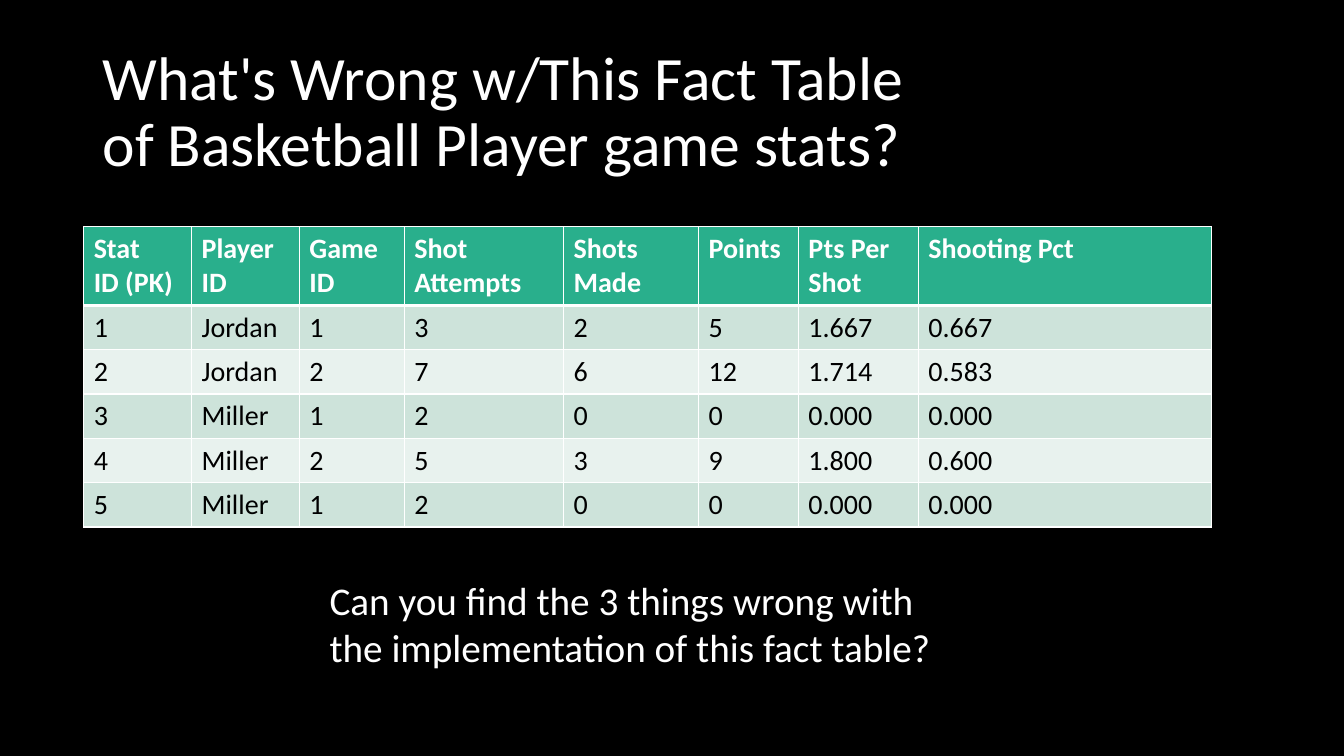
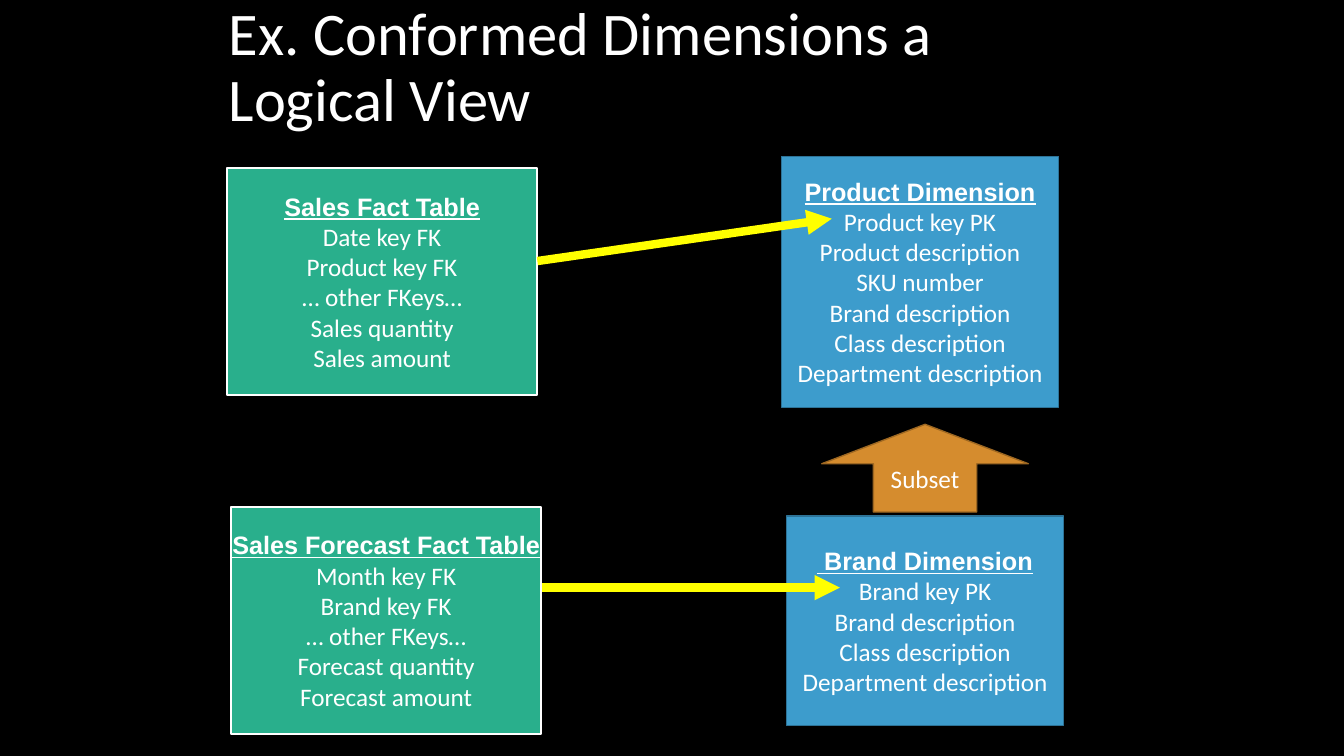
from dataclasses import dataclass
from typing import NamedTuple

from lxml.etree import SubElement as Sub
from pptx import Presentation
from pptx.dml.color import RGBColor as RGB
from pptx.enum.shapes import MSO_CONNECTOR as Link, MSO_SHAPE as Form
from pptx.enum.text import MSO_ANCHOR as Anchor, PP_ALIGN as Align
from pptx.oxml.ns import qn
from pptx.util import Inches, Pt


@dataclass(frozen=True)
class Theme:
    back: str = "000000"
    white: str = "FFFFFF"
    black: str = "000000"
    green: str = "29AF8C"
    blue: str = "3D9CCC"
    navy: str = "2D7397"
    gold: str = "D58C2E"
    brown: str = "9E6822"
    yellow: str = "FFFF00"
    bands: tuple[str, str] = ("CDE3DA", "E8F2EE")
    font: str = "Calibri"
    bold_font: str = "Arial"
    title: float = 44
    small_title: float = 43.2
    ask: float = 28
    cell: float = 20
    body: float = 18


THEME = Theme()


class Area(NamedTuple):
    left: float
    top: float
    width: float
    height: float

    def place(self) -> list[Inches]:
        return [Inches(side) for side in self]


class Look(NamedTuple):
    fill: str
    line: str
    width: float


class Box(NamedTuple):
    area: Area
    look: Look
    head: str
    fields: list[str]


class Arrow(NamedTuple):
    start: tuple[float, float]
    end: tuple[float, float]


FACT = Look(THEME.green, THEME.white, 1.5)
DIM = Look(THEME.blue, THEME.navy, 1)
SUBSET = Look(THEME.gold, THEME.brown, 1)

PLAIN = {"name": THEME.font, "size": Pt(THEME.body), "bold": False}
HEAD = PLAIN | {"name": THEME.bold_font, "bold": True, "underline": True}

WIDTHS = [1.07, 1.07, 1.04, 1.58, 1.34, 0.99, 1.19, 2.91]
HEAD_ROW, BODY_ROW = 0.78, 0.44
STATS = [
    ["Stat\nID (PK)", "Player ID", "Game ID", "Shot Attempts",
     "Shots Made", "Points", "Pts Per Shot", "Shooting Pct"],
    ["1", "Jordan", "1", "3", "2", "5", "1.667", "0.667"],
    ["2", "Jordan", "2", "7", "6", "12", "1.714", "0.583"],
    ["3", "Miller", "1", "2", "0", "0", "0.000", "0.000"],
    ["4", "Miller", "2", "5", "3", "9", "1.800", "0.600"],
    ["5", "Miller", "1", "2", "0", "0", "0.000", "0.000"],
]

BOXES = [
    Box(Area(2.25, 1.67, 3.08, 2.25), FACT, "Sales Fact Table",
        ["Date key FK", "Product key FK", "… other FKeys…",
         "Sales quantity", "Sales amount"]),
    Box(Area(7.75, 1.55, 2.75, 2.49), DIM, "Product Dimension",
        ["Product key PK", "Product description", "SKU number",
         "Brand description", "Class description",
         "Department description"]),
    Box(Area(2.29, 5.03, 3.08, 2.25), FACT, "Sales Forecast Fact Table",
        ["Month key FK", "Brand key FK", "… other FKeys…",
         "Forecast quantity", "Forecast amount"]),
    Box(Area(7.8, 5.12, 2.75, 2.08), DIM, " Brand Dimension",
        ["Brand key PK", "Brand description", "Class description",
         "Department description"]),
]

ARROWS = [
    Arrow((5.33, 2.59), (8.25, 2.17)),
    Arrow((5.38, 5.83), (8.33, 5.83)),
]


def write(para, text: str, style: dict, tint: str = THEME.white) -> None:
    """Fill a paragraph; a newline becomes a line break."""
    para.text = text
    for run in para.runs:
        for key, value in style.items():
            setattr(run.font, key, value)
        run.font.color.rgb = RGB.from_string(tint)


def add_slide(deck):
    slide = deck.slides.add_slide(deck.slide_layouts[6])
    fill = slide.background.fill
    fill.solid()
    fill.fore_color.rgb = RGB.from_string(THEME.back)
    return slide


def add_text(slide, area: Area, text: str, size: float):
    frame = slide.shapes.add_textbox(*area.place()).text_frame
    frame.word_wrap = True
    write(frame.paragraphs[0], text, PLAIN | {"size": Pt(size)})
    return frame


def add_title(slide, area: Area, text: str, size: float) -> None:
    frame = add_text(slide, area, text, size)
    frame.vertical_anchor = Anchor.MIDDLE
    frame.paragraphs[0].line_spacing = 0.9


def add_edge(cell, side: str, width: float) -> None:
    props = cell._tc.get_or_add_tcPr()
    line = Sub(props, qn(f"a:ln{side}"), w=str(Pt(width)))
    Sub(Sub(line, qn("a:solidFill")), qn("a:srgbClr"), val=THEME.white)


def add_stats(slide, left: float, top: float) -> None:
    heights = [HEAD_ROW] + [BODY_ROW] * (len(STATS) - 1)
    area = Area(left, top, sum(WIDTHS), sum(heights))
    table = slide.shapes.add_table(
        len(STATS), len(WIDTHS), *area.place()).table
    for column, width in zip(table.columns, WIDTHS):
        column.width = Inches(width)
    for index, (row, height, texts) in enumerate(
            zip(table.rows, heights, STATS)):
        row.height = Inches(height)
        first = index == 0
        fill = THEME.green if first else THEME.bands[(index - 1) % 2]
        edges = {"L": 1, "R": 1, "T": 3 if index == 1 else 1,
                 "B": 3 if first else 1}
        style = PLAIN | {"size": Pt(THEME.cell), "bold": first}
        for cell, text in zip(row.cells, texts):
            for side, width in edges.items():
                add_edge(cell, side, width)
            cell.fill.solid()
            cell.fill.fore_color.rgb = RGB.from_string(fill)
            write(cell.text_frame.paragraphs[0], text, style,
                  THEME.white if first else THEME.black)


def add_form(slide, form: Form, area: Area, look: Look):
    shape = slide.shapes.add_shape(form, *area.place())
    shape.shadow.inherit = False
    shape.fill.solid()
    shape.fill.fore_color.rgb = RGB.from_string(look.fill)
    shape.line.color.rgb = RGB.from_string(look.line)
    shape.line.width = Pt(look.width)
    shape.text_frame.vertical_anchor = Anchor.MIDDLE
    shape.text_frame.paragraphs[0].alignment = Align.CENTER
    return shape


def add_box(slide, box: Box) -> None:
    frame = add_form(slide, Form.RECTANGLE, box.area, box.look).text_frame
    frame.word_wrap = False
    write(frame.paragraphs[0], box.head, HEAD)
    for field in box.fields:
        para = frame.add_paragraph()
        para.alignment = Align.CENTER
        write(para, field, PLAIN)


def add_arrow(slide, arrow: Arrow) -> None:
    ends = [Inches(value) for value in arrow.start + arrow.end]
    link = slide.shapes.add_connector(Link.STRAIGHT, *ends)
    link.line.color.rgb = RGB.from_string(THEME.yellow)
    link.line.width = Pt(6)
    Sub(link.line._get_or_add_ln(), qn("a:tailEnd"), type="triangle")
    Sub(link._element.spPr, qn("a:effectLst"))


def add_subset(slide) -> None:
    shape = add_form(slide, Form.UP_ARROW, Area(8.15, 4.21, 2.05, 0.87),
                     SUBSET)
    shape.adjustments[0] = 0.5
    shape.adjustments[1] = 0.45
    write(shape.text_frame.paragraphs[0], "Subset", PLAIN)


def draw_stats(deck) -> None:
    slide = add_slide(deck)
    add_title(slide, Area(0.92, 0.4, 11.5, 1.45),
              "What's Wrong w/This Fact Table\n"
              "of Basketball Player game stats?", THEME.title)
    add_stats(slide, 0.83, 2.25)
    add_text(slide, Area(3.17, 5.67, 6.23, 1.04),
             "Can you find the 3 things wrong with\n"
             "the implementation of this fact table?", THEME.ask)


def draw_model(deck) -> None:
    slide = add_slide(deck)
    add_title(slide, Area(2.17, 0, 9, 1.37),
              "Ex. Conformed Dimensions a\nLogical View",
              THEME.small_title)
    for box in BOXES:
        add_box(slide, box)
    for arrow in ARROWS:
        add_arrow(slide, arrow)
    add_subset(slide)


def main() -> None:
    deck = Presentation()
    deck.slide_width, deck.slide_height = Inches(13.33), Inches(7.5)
    draw_stats(deck)
    draw_model(deck)
    deck.save("out.pptx")


if __name__ == "__main__":
    main()
